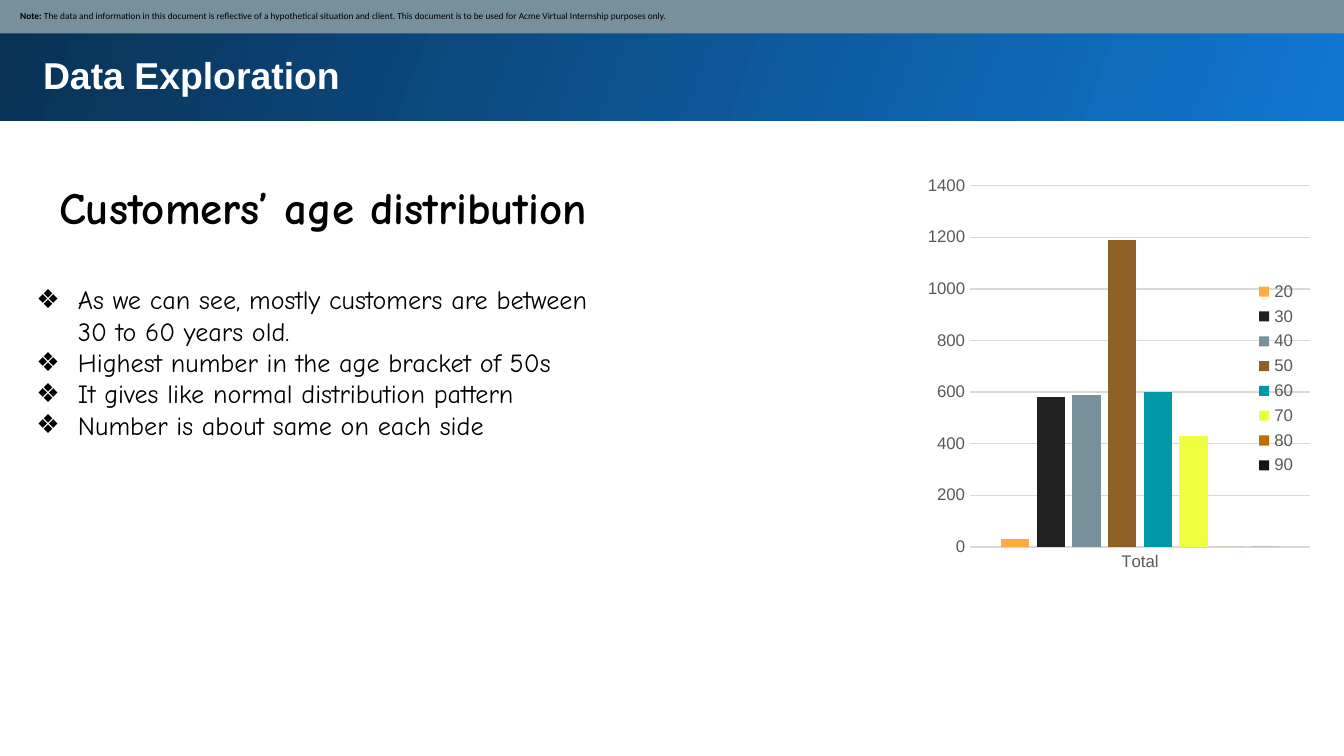
import pptx
import pptx.util
import pptx.oxml
import pptx.oxml.ns
import pptx.dml.color
import pptx.chart.data
import pptx.enum.chart
import pptx.enum.shapes
import pptx.enum.text

Inches, Pt = pptx.util.Inches, pptx.util.Pt
RGB = pptx.dml.color.RGBColor
BLUE, NAVY = RGB(0x10, 0x77, 0xD2), RGB(0x09, 0x31, 0x53)
WHITE, BLACK = RGB(255, 255, 255), RGB(0, 0, 0)
STEEL, GREY, PALE = RGB(0x78, 0x90, 0x9C), RGB(0x59, 0x59, 0x59), RGB(0xD9, 0xD9, 0xD9)
AGES = [
    ("20", 30, RGB(0xFF, 0xAB, 0x40)),
    ("30", 580, RGB(0x21, 0x21, 0x21)),
    ("40", 590, STEEL),
    ("50", 1190, RGB(0x8F, 0x60, 0x24)),
    ("60", 600, RGB(0x00, 0x97, 0xA7)),
    ("70", 430, RGB(0xEE, 0xFF, 0x41)),
    ("80", 0, RGB(0xBF, 0x6B, 0x00)),
    ("90", 0, RGB(0x14, 0x14, 0x14)),
]


def style(font, name, size, color, bold=False):
    font.name, font.size, font.bold = name, Pt(size), bold
    font.color.rgb = color


def place(shape, left, top, width, height, inset=0.1):
    shape.left, shape.top = Inches(left), Inches(top)
    shape.width, shape.height = Inches(width), Inches(height)
    frame = shape.text_frame
    frame.word_wrap = True
    frame.auto_size = pptx.enum.text.MSO_AUTO_SIZE.NONE
    frame.vertical_anchor = pptx.enum.text.MSO_ANCHOR.TOP
    frame.margin_left = Inches(inset)
    frame.margin_right = frame.margin_top = frame.margin_bottom = Inches(0.1)
    return frame


# Widescreen page, 16 to 9
deck = pptx.Presentation()
deck.slide_width = Inches(10)
deck.slide_height = Inches(10) * 9 // 16
slide = deck.slides.add_slide(deck.slide_layouts[1])
shapes = slide.shapes
title, body = slide.placeholders
RECT = pptx.enum.shapes.MSO_SHAPE.RECTANGLE
LEFT = pptx.enum.text.PP_ALIGN.LEFT

# Gradient banner behind the title
banner = shapes.add_shape(RECT, Inches(-0.02), Inches(-0.02), Inches(10.05), Inches(0.92))
banner.shadow.inherit = False
banner.line.fill.background()
banner.fill.gradient()
banner.fill.gradient_angle = 160
for stop, color in zip(banner.fill.gradient_stops, (BLUE, NAVY)):
    stop.color.rgb = color
title.element.addprevious(banner.element)

# Title and heading
frame = place(title, 0.22, 0.29, 9.37, 0.51)
frame.text = "Data Exploration"
frame.paragraphs[0].alignment = LEFT
style(frame.paragraphs[0].runs[0].font, "Arial", 20, WHITE, True)

head = shapes.add_textbox(0, 0, 0, 0)
frame = place(head, 0.22, 1.18, 9.37, 0.67, 0.22)
frame.text = "Customers’ age distribution"
frame.paragraphs[0].line_spacing = 1.15
style(frame.paragraphs[0].runs[0].font, "Comic Neue", 24, BLACK, True)

# Findings
frame = place(body, 0.17, 2.01, 4.52, 1.38)
frame.text = "\n".join([
    "As we can see, mostly customers are between 30 to 60 years old.",
    "Highest number in the age bracket of 50s",
    "It gives like normal distribution pattern",
    "Number is about same on each side",
])
for para in frame.paragraphs:
    para.space_before = Pt(0)
    style(para.runs[0].font, "Comic Neue", 14, BLACK)
    props = para._p.get_or_add_pPr()
    props.set("marL", str(Inches(0.31)))
    props.set("indent", str(Inches(-0.31)))
    mark = pptx.oxml.parse_xml("<a:buChar %s char='❖'/>" % pptx.oxml.ns.nsdecls("a"))
    props.append(mark)

# Note strip
strip = shapes.add_shape(RECT, Inches(-0.01), Inches(-0.01), Inches(10.03), Inches(0.26))
strip.shadow.inherit = False
strip.fill.solid()
strip.fill.fore_color.rgb = STEEL
strip.line.fill.background()
frame = strip.text_frame
frame.word_wrap = True
frame.vertical_anchor = pptx.enum.text.MSO_ANCHOR.MIDDLE
frame.margin_left = Inches(0.16)
frame.margin_right = frame.margin_top = frame.margin_bottom = Inches(0.05)
para = frame.paragraphs[0]
para.alignment = LEFT
note = ("The data and information in this document is reflective of a hypothetical "
        "situation and client. This document is to be used for Acme Virtual "
        "Internship purposes only.")
for text, bold in (("Note: ", True), (note, False)):
    run = para.add_run()
    run.text = text
    style(run.font, "Calibri", 5, BLACK, bold)

# Age chart
data = pptx.chart.data.CategoryChartData()
data.categories = ["Total"]
for age, count, color in AGES:
    data.add_series(age, [count])
chart = shapes.add_chart(
    pptx.enum.chart.XL_CHART_TYPE.COLUMN_CLUSTERED,
    Inches(5.92), Inches(1.31), Inches(3.83), Inches(3), data).chart
chart.has_title = False
style(chart.font, "Arial", 10, BLACK)
plot = chart.plots[0]
plot.gap_width, plot.overlap, plot.vary_by_categories = 219, -27, False
for bars, (age, count, color) in zip(plot.series, AGES):
    bars.format.fill.solid()
    bars.format.fill.fore_color.rgb = color

# Axes and legend
cats, vals = chart.category_axis, chart.value_axis
for axis in (cats, vals):
    axis.major_tick_mark = axis.minor_tick_mark = pptx.enum.chart.XL_TICK_MARK.NONE
    style(axis.tick_labels.font, "Arial", 9, GREY)
vals.minimum_scale, vals.maximum_scale, vals.major_unit = 0, 1400, 200
vals.format.line.fill.background()
for line in (cats.format.line, vals.major_gridlines.format.line):
    line.color.rgb = PALE
    line.width = Pt(0.75)
chart.has_legend = True
chart.legend.position = pptx.enum.chart.XL_LEGEND_POSITION.RIGHT
chart.legend.include_in_layout = True
style(chart.legend.font, "Arial", 9, GREY)

# Fixed plot area
area = chart._chartSpace.chart.plotArea
for old in area.findall(pptx.oxml.ns.qn("c:layout")):
    area.remove(old)
area.insert(0, pptx.oxml.parse_xml(
    "<c:layout %s><c:manualLayout><c:layoutTarget val='inner'/>"
    "<c:xMode val='edge'/><c:yMode val='edge'/><c:x val='0.34'/><c:y val='0.02'/>"
    "<c:w val='0.66'/><c:h val='0.9'/></c:manualLayout></c:layout>"
    % pptx.oxml.ns.nsdecls("c")))

deck.save("out.pptx")
